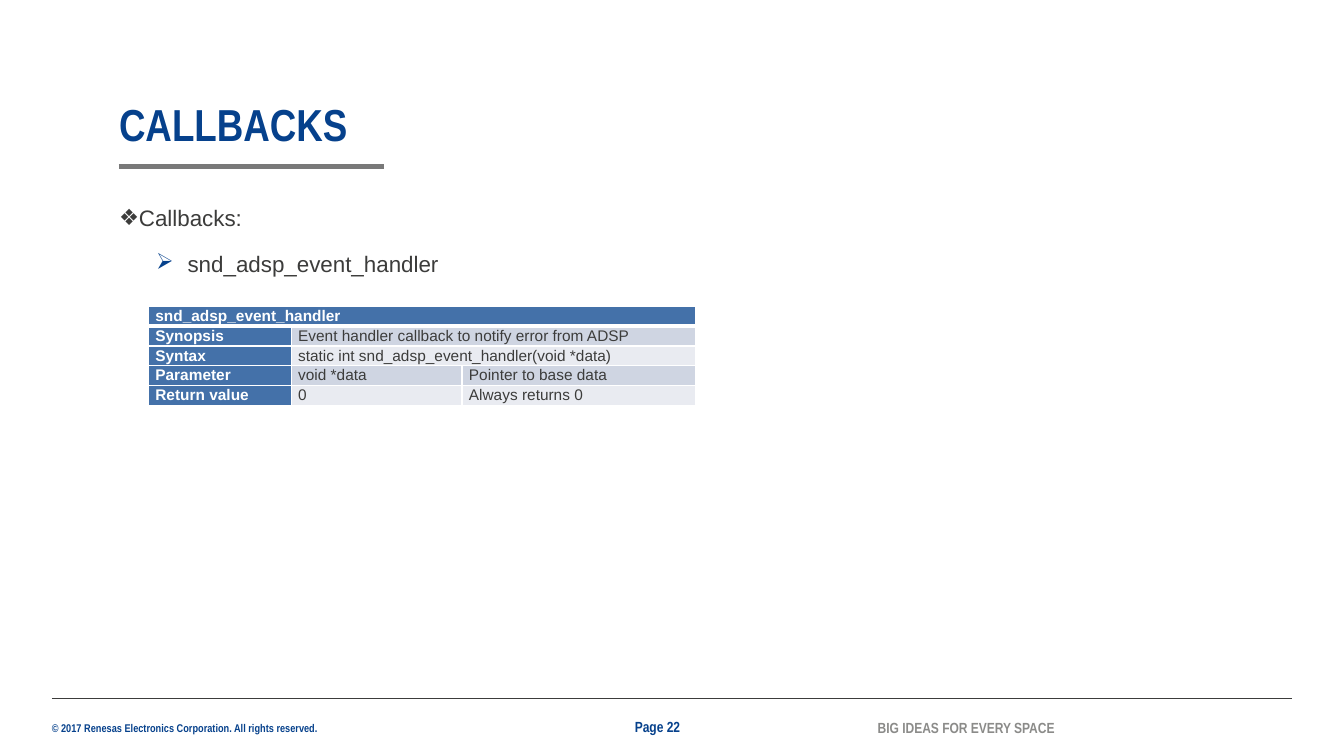
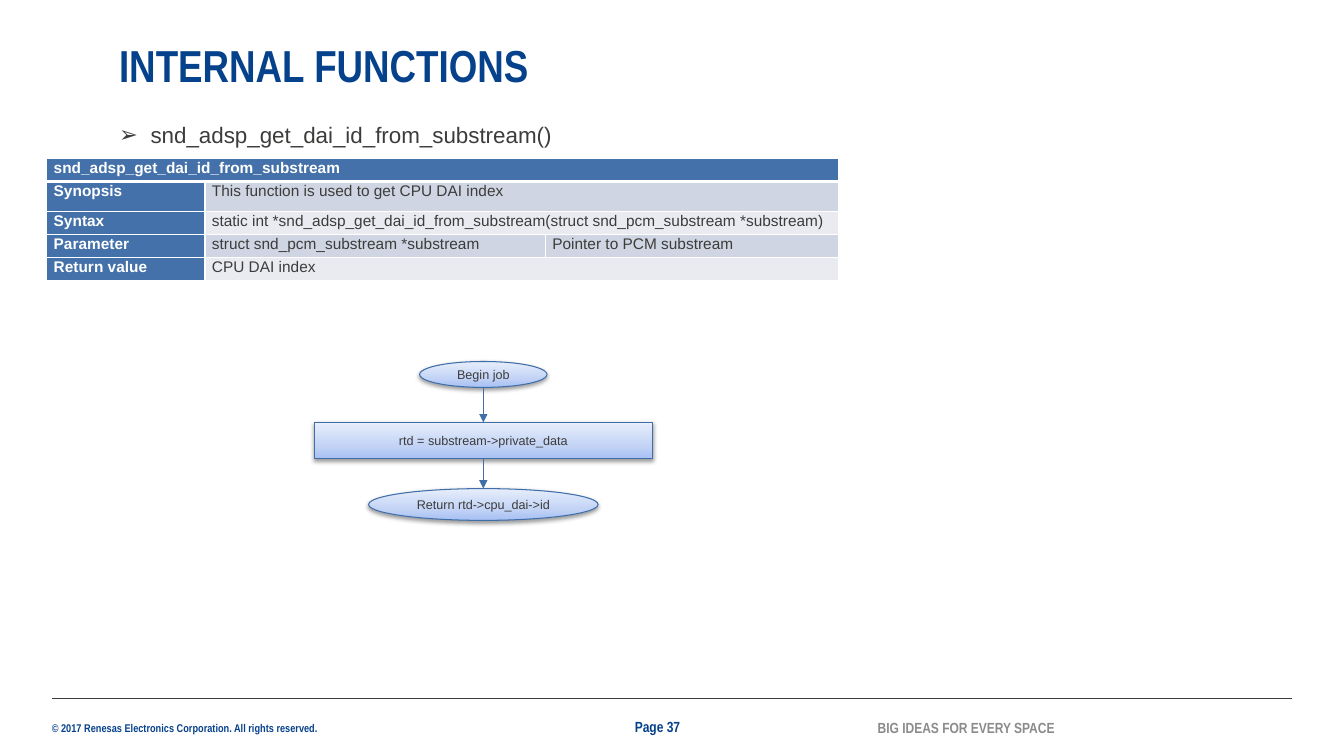
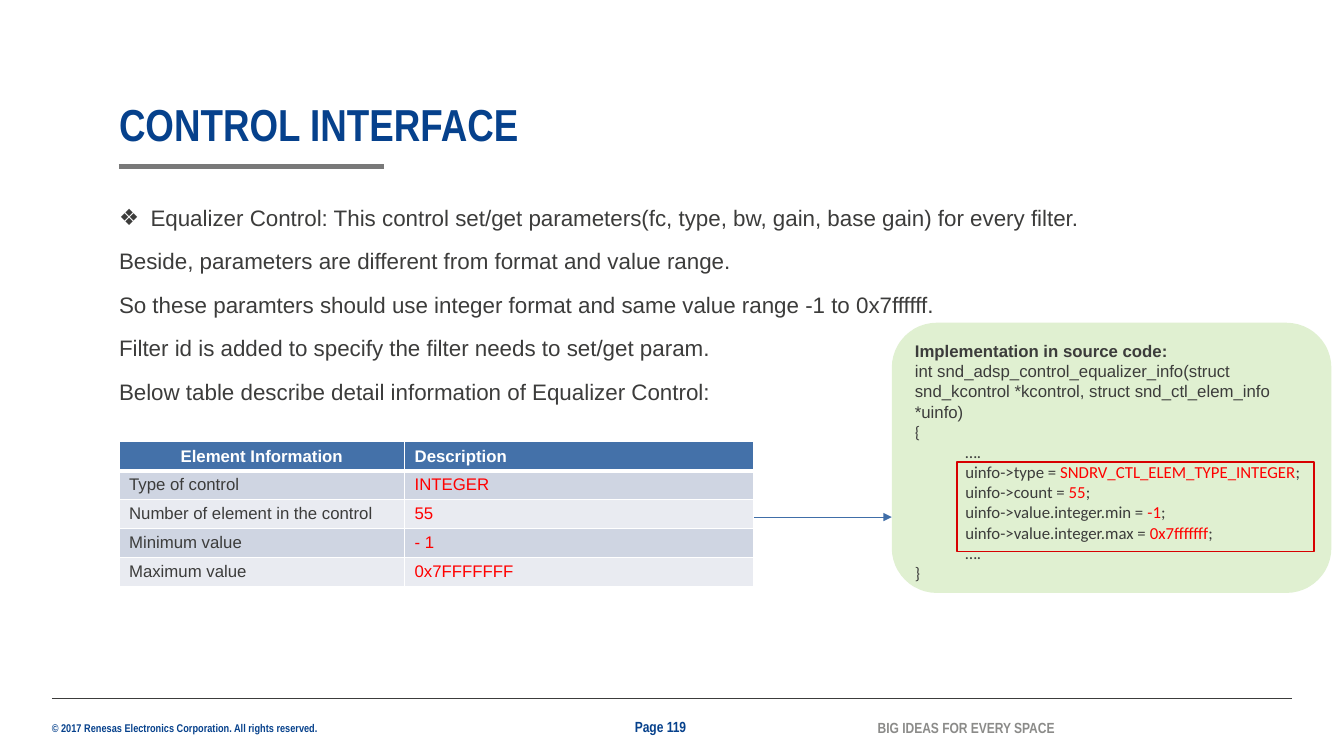
from dataclasses import dataclass
from typing import NamedTuple

from lxml.etree import SubElement
from pptx import Presentation
from pptx.dml.color import RGBColor
from pptx.enum.shapes import MSO_CONNECTOR as Connector, MSO_SHAPE as Preset
from pptx.enum.text import MSO_ANCHOR as Anchor, MSO_AUTO_SIZE as AutoSize, PP_ALIGN as Align
from pptx.oxml.ns import qn
from pptx.util import Pt


@dataclass(frozen=True)
class Theme:
    navy: str = "06418C"
    ink: str = "3C3C3B"
    rule: str = "797979"
    tagline: str = "8B8B89"
    white: str = "FFFFFF"
    header: str = "4471A9"
    bands: tuple = ("CFD5E2", "E9EBF1")
    accent: str = "406EA8"
    value: str = "FF0000"
    frame: str = "D70000"
    code_fill: str = "E0F0D1"
    gradient: tuple = ((0, "A7C0F3"), (35, "C2D3F5"), (100, "E7EEFC"))
    heading_font: str = "Arial Narrow"
    body_font: str = "Arial"
    code_font: str = "Calibri"
    title_size: float = 32
    body_size: float = 16
    text_size: float = 12
    api_size: float = 11
    footer_size: float = 10.5
    flow_size: float = 9
    copyright_size: float = 8


class Box(NamedTuple):
    left: float
    top: float
    width: float
    height: float

    def lengths(self):
        return [Pt(value) for value in self]


THEME = Theme()
MARGIN = 85
TITLE = Box(MARGIN, 73.4, 708.5, 34.6)
DIAMOND, ARROWHEAD = "❖", "➢"


def rgb(colour):
    return RGBColor.from_string(colour)


def set_font(font, size, colour=THEME.ink, name=THEME.body_font, bold=False):
    font.size, font.name, font.bold = Pt(size), name, bold
    font.color.rgb = rgb(colour)


def set_bullet(paragraph, character=None, colour=THEME.ink, left=0, hanging=0):
    properties = paragraph._p.get_or_add_pPr()
    properties.set("marL", str(Pt(left)))
    properties.set("indent", str(Pt(-hanging)))
    if character:
        bullet_colour = SubElement(properties, qn("a:buClr"))
        SubElement(bullet_colour, qn("a:srgbClr"), val=colour)
        SubElement(properties, qn("a:buChar"), char=character)
    else:
        SubElement(properties, qn("a:buNone"))


def prepare_frame(shape, box, anchor=Anchor.TOP):
    """Move a text shape to the box and remove its insets."""
    shape.left, shape.top, shape.width, shape.height = box.lengths()
    frame = shape.text_frame
    frame.margin_left = frame.margin_right = frame.margin_top = frame.margin_bottom = 0
    frame.word_wrap, frame.auto_size = True, AutoSize.NONE
    frame.vertical_anchor = anchor
    return frame


def add_label(slide, box, text, size, colour, anchor=Anchor.MIDDLE):
    frame = prepare_frame(slide.shapes.add_textbox(*box.lengths()), box, anchor)
    paragraph = frame.paragraphs[0]
    paragraph.text = text
    set_font(paragraph.font, size, colour, THEME.heading_font, True)


def add_line(slide, start, end, colour, width, arrow=False):
    points = [Pt(value) for value in (*start, *end)]
    connector = slide.shapes.add_connector(Connector.STRAIGHT, *points)
    connector.line.color.rgb = rgb(colour)
    connector.line.width = Pt(width)
    properties = connector._element.spPr
    if arrow:
        SubElement(properties.find(qn("a:ln")), qn("a:tailEnd"), type="triangle")
    SubElement(properties, qn("a:effectLst"))


def add_preset(slide, preset, box, fill=None, line=None, width=0.75):
    shape = slide.shapes.add_shape(preset, *box.lengths())
    shape.shadow.inherit = False
    if fill:
        shape.fill.solid()
        shape.fill.fore_color.rgb = rgb(fill)
    else:
        shape.fill.background()
    if line:
        shape.line.color.rgb = rgb(line)
        shape.line.width = Pt(width)
    else:
        shape.line.fill.background()
    return shape


def add_footer(slide, page):
    add_line(slide, (37, 499), (923, 499), THEME.ink, 0.5)
    add_label(slide, Box(37, 515.5, 240, 9.5),
              "© 2017 Renesas Electronics Corporation. All rights reserved.",
              THEME.copyright_size, THEME.navy, Anchor.TOP)
    add_label(slide, Box(453.5, 512.5, 52.5, 13), f"Page {page}", THEME.footer_size, THEME.navy)
    add_label(slide, Box(627, 513.5, 129.5, 13), "BIG IDEAS FOR EVERY SPACE",
              THEME.footer_size, THEME.tagline)


def start_slide(presentation, title, page, title_box=TITLE, ruled=True):
    slide = presentation.slides.add_slide(presentation.slide_layouts[1])
    frame = prepare_frame(slide.shapes.title, title_box, Anchor.BOTTOM)
    paragraph = frame.paragraphs[0]
    paragraph.text = title
    paragraph.alignment, paragraph.line_spacing = Align.LEFT, 0.9
    set_font(paragraph.font, THEME.title_size, THEME.navy, THEME.heading_font, True)
    if ruled:
        add_line(slide, (MARGIN, 119), (274.5, 119), THEME.rule, 3)
    add_footer(slide, page)
    return slide


def fill_list(shape, box, items):
    """Write (text, bullet options) items into the shape."""
    frame = prepare_frame(shape, box)
    for index, (text, bullet) in enumerate(items):
        paragraph = frame.add_paragraph() if index else frame.paragraphs[0]
        paragraph.text = text
        set_bullet(paragraph, **bullet)
        paragraph.line_spacing = 1.2
        paragraph.space_before, paragraph.space_after = Pt(0), Pt(8)
        set_font(paragraph.font, THEME.body_size)


def set_borders(cell, row_index):
    """Draw white borders, thicker between the header and the first row."""
    properties = cell._tc.get_or_add_tcPr()
    thick = {0: "lnB", 1: "lnT"}.get(row_index)
    for side in ("lnL", "lnR", "lnT", "lnB"):
        width = Pt(3 if side == thick else 1)
        line = SubElement(properties, qn(f"a:{side}"), w=str(width))
        SubElement(SubElement(line, qn("a:solidFill")), qn("a:srgbClr"), val=THEME.white)


def format_cell(cell, row_index, text, size, heading, colour):
    set_borders(cell, row_index)
    cell.fill.solid()
    cell.fill.fore_color.rgb = rgb(THEME.header if heading else THEME.bands[(row_index - 1) % 2])
    paragraph = cell.text_frame.paragraphs[0]
    paragraph.text = text
    set_font(paragraph.font, size, THEME.white if heading else colour, bold=heading)
    return paragraph


def add_grid(slide, left, top, widths, heights):
    box = Box(left, top, sum(widths), sum(heights))
    table = slide.shapes.add_table(len(heights), len(widths), *box.lengths()).table
    for column, width in zip(table.columns, widths):
        column.width = Pt(width)
    for row, height in zip(table.rows, heights):
        row.height = Pt(height)
    return table


def add_api_table(slide, left, top, widths, heights, rows):
    """Add a function description; the last cell of a short row spans the rest."""
    table = add_grid(slide, left, top, widths, heights)
    last = len(widths) - 1
    for row_index, texts in enumerate(rows):
        if len(texts) <= last:
            table.cell(row_index, len(texts) - 1).merge(table.cell(row_index, last))
        for column_index in range(last + 1):
            cell = table.cell(row_index, column_index)
            if cell.is_spanned:
                set_borders(cell, row_index)
                continue
            cell.margin_left = cell.margin_right = Pt(5)
            cell.margin_top = cell.margin_bottom = 0
            heading = row_index == 0 or column_index == 0
            paragraph = format_cell(cell, row_index, texts[column_index], THEME.api_size,
                                    heading, THEME.ink)
            paragraph.line_spacing = 1.07


def add_element_table(slide, left, top, widths, row_height, rows):
    table = add_grid(slide, left, top, widths, [row_height] * len(rows))
    for row_index, texts in enumerate(rows):
        for column_index, text in enumerate(texts):
            paragraph = format_cell(table.cell(row_index, column_index), row_index, text,
                                    THEME.text_size, row_index == 0,
                                    (THEME.ink, THEME.value)[column_index])
            if row_index == column_index == 0:
                paragraph.alignment = Align.CENTER


def add_flow_step(slide, preset, box, text):
    shape = add_preset(slide, preset, box, line=THEME.accent)
    shape.fill.gradient()
    shape.fill.gradient_angle = 90
    properties = shape._element.spPr
    stops = properties.find(qn("a:gradFill")).find(qn("a:gsLst"))
    stops.clear()
    for position, colour in THEME.gradient:
        stop = SubElement(stops, qn("a:gs"), pos=str(position * 1000))
        SubElement(stop, qn("a:srgbClr"), val=colour)
    shadow = SubElement(properties.find(qn("a:effectLst")), qn("a:outerShdw"),
                        blurRad=str(Pt(3.1)), dist=str(Pt(1.6)), dir="5400000", rotWithShape="0")
    shade = SubElement(shadow, qn("a:srgbClr"), val="000000")
    SubElement(shade, qn("a:alpha"), val="38000")
    frame = shape.text_frame
    frame.word_wrap, frame.vertical_anchor = True, Anchor.MIDDLE
    paragraph = frame.paragraphs[0]
    paragraph.text, paragraph.alignment = text, Align.CENTER
    set_font(paragraph.font, THEME.flow_size)


def add_flowchart(slide, box, steps):
    """Centre (preset, text, top, width, height) steps in the box and join them."""
    centre = box.left + box.width / 2
    previous_bottom = None
    for preset, text, offset, width, height in steps:
        top = box.top + offset
        add_flow_step(slide, preset, Box(centre - width / 2, top, width, height), text)
        if previous_bottom is not None:
            add_line(slide, (centre, previous_bottom), (centre, top), THEME.accent, 0.75, True)
        previous_bottom = top + height


def add_code_panel(slide, box, heading, signature, settings):
    panel = add_preset(slide, Preset.ROUNDED_RECTANGLE, box, THEME.code_fill)
    frame = panel.text_frame
    frame.word_wrap, frame.vertical_anchor = True, Anchor.TOP
    body, code = THEME.body_font, THEME.code_font
    lines = [(heading, body, True, 0), (signature, body, False, 0), ("{", code, False, 0),
             ("….", code, False, 36)]
    lines += [(setting, code, False, 36) for setting in settings]
    lines += [("….", code, False, 36), ("}", code, False, 0)]
    for index, (content, font_name, bold, indent) in enumerate(lines):
        paragraph = frame.add_paragraph() if index else frame.paragraphs[0]
        paragraph.alignment = Align.LEFT
        set_bullet(paragraph, left=indent)
        set_font(paragraph.font, THEME.text_size, name=font_name, bold=bold)
        if isinstance(content, str):
            paragraph.add_run().text = content
            continue
        target, value = content
        for text, colour in ((f"{target} = ", THEME.ink), (value, THEME.value), (";", THEME.ink)):
            run = paragraph.add_run()
            run.text = text
            run.font.color.rgb = rgb(colour)
    frame_box = Box(box.left + 46.8, box.top + 99.4, 255, 64)
    add_preset(slide, Preset.RECTANGLE, frame_box, line=THEME.frame, width=1.25)


def build_callbacks(presentation):
    slide = start_slide(presentation, "CALLBACKS", 22)
    fill_list(slide.placeholders[1], Box(MARGIN, 142, 93.5, 21),
              [("Callbacks:", {"character": DIAMOND})])
    handler_box = Box(83.5, 175, 299, 21)
    arrow_bullet = {"character": ARROWHEAD, "colour": THEME.navy, "left": 50.5, "hanging": 22.5}
    fill_list(slide.shapes.add_textbox(*handler_box.lengths()), handler_box,
              [("snd_adsp_event_handler", arrow_bullet)])
    add_api_table(slide, 106, 219, (102, 122, 167), [14.1] * 5, [
        ("snd_adsp_event_handler",),
        ("Synopsis", "Event handler callback to notify error from ADSP"),
        ("Syntax", "static int snd_adsp_event_handler(void *data)"),
        ("Parameter", "void *data", "Pointer to base data"),
        ("Return value", "0", "Always returns 0"),
    ])


def build_internal_functions(presentation):
    slide = start_slide(presentation, "INTERNAL FUNCTIONS", 37,
                        Box(MARGIN, 31.4, 780.5, 34.6), ruled=False)
    fill_list(slide.placeholders[1], Box(MARGIN, 83, 469, 23),
              [("snd_adsp_get_dai_id_from_substream()",
                {"character": ARROWHEAD, "left": 22.5, "hanging": 22.5})])
    add_api_table(slide, 33.4, 113.2, (113, 243.2, 209.2), (16.5, 21.5, 16.5, 16.5, 16.5), [
        ("snd_adsp_get_dai_id_from_substream",),
        ("Synopsis", "This function is used to get CPU DAI index"),
        ("Syntax", "static int *snd_adsp_get_dai_id_from_substream"
                   "(struct snd_pcm_substream *substream)"),
        ("Parameter", "struct snd_pcm_substream *substream", "Pointer to PCM substream"),
        ("Return value", "CPU DAI index"),
    ])
    add_flowchart(slide, Box(224.5, 258.2, 241.5, 113.5), [
        (Preset.OVAL, "Begin job", 0, 91, 18.5),
        (Preset.RECTANGLE, "rtd = substream->private_data", 43.5, 241.5, 26),
        (Preset.OVAL, "Return rtd->cpu_dai->id", 90.8, 164, 22.7),
    ])


def build_control_interface(presentation):
    slide = start_slide(presentation, "CONTROL INTERFACE", 119)
    fill_list(slide.placeholders[1], Box(MARGIN, 142, 708.5, 148.5), [
        ("Equalizer Control: This control set/get parameters(fc, type, bw, gain, base gain) "
         "for every filter.", {"character": DIAMOND, "left": 22.5, "hanging": 22.5}),
        ("Beside, parameters are different from format and value range.", {}),
        ("So these paramters should use integer format and same value range -1 to 0x7ffffff.", {}),
        ("Filter id is added to specify the filter needs to set/get param.", {}),
        ("Below table describe detail information of Equalizer Control:", {}),
    ])
    add_element_table(slide, MARGIN, 315.5, (204, 249.5), 20.7, [
        ("Element Information", "Description"),
        ("Type of control", "INTEGER"),
        ("Number of element in the control", "55"),
        ("Minimum value", "- 1"),
        ("Maximum value", "0x7FFFFFFF"),
    ])
    panel = Box(637, 230.5, 314, 193)
    add_code_panel(
        slide, panel, "Implementation in source code:",
        "int snd_adsp_control_equalizer_info(struct snd_kcontrol *kcontrol, "
        "struct snd_ctl_elem_info *uinfo)",
        [("uinfo->type", "SNDRV_CTL_ELEM_TYPE_INTEGER"), ("uinfo->count", "55"),
         ("uinfo->value.integer.min", "-1"), ("uinfo->value.integer.max", "0x7fffffff")])
    add_line(slide, (538.5, 369.3), (panel.left, 369.3), THEME.accent, 0.75, True)


def main():
    presentation = Presentation()
    presentation.slide_width, presentation.slide_height = Pt(960), Pt(540)
    build_callbacks(presentation)
    build_internal_functions(presentation)
    build_control_interface(presentation)
    presentation.save("out.pptx")


if __name__ == "__main__":
    main()
